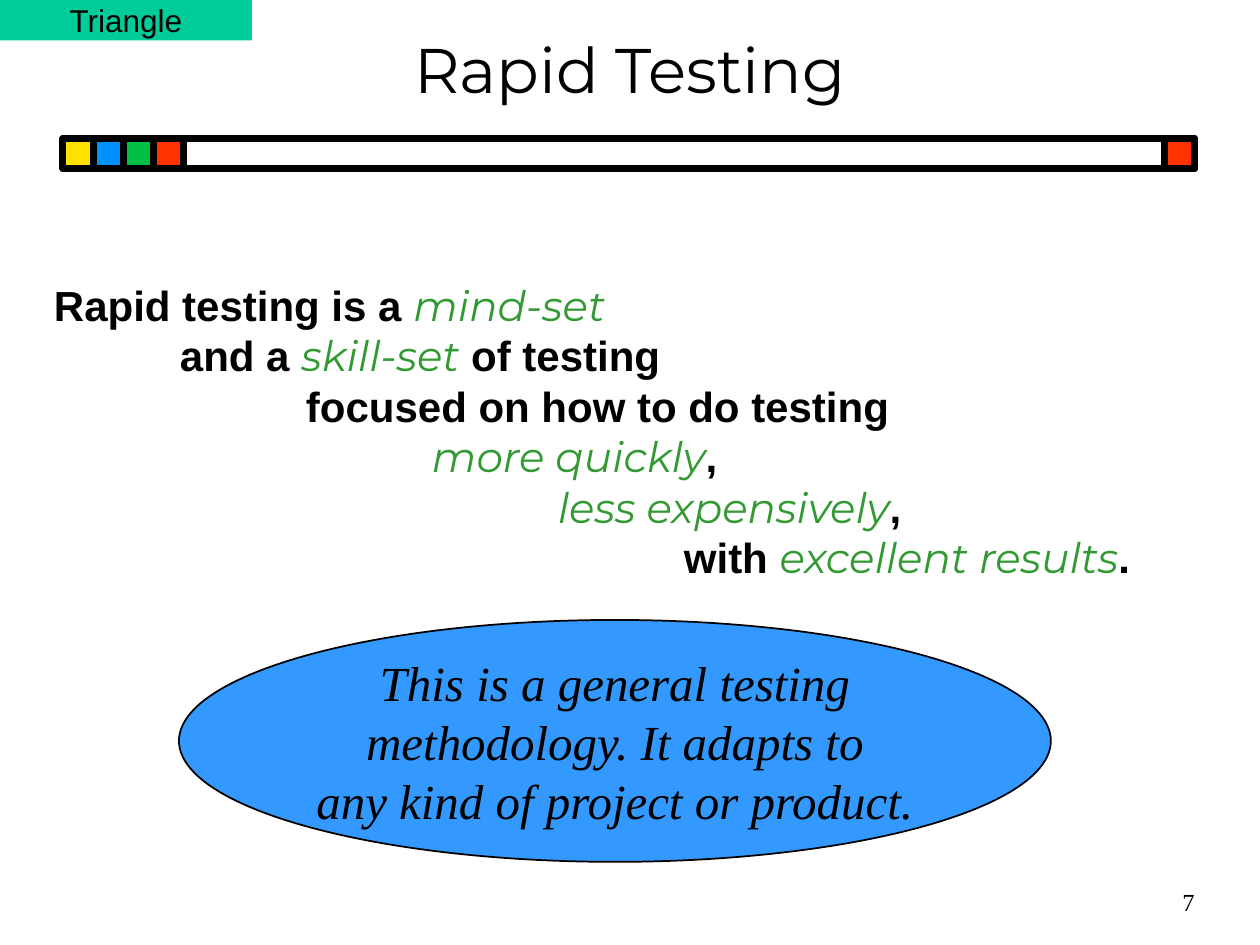
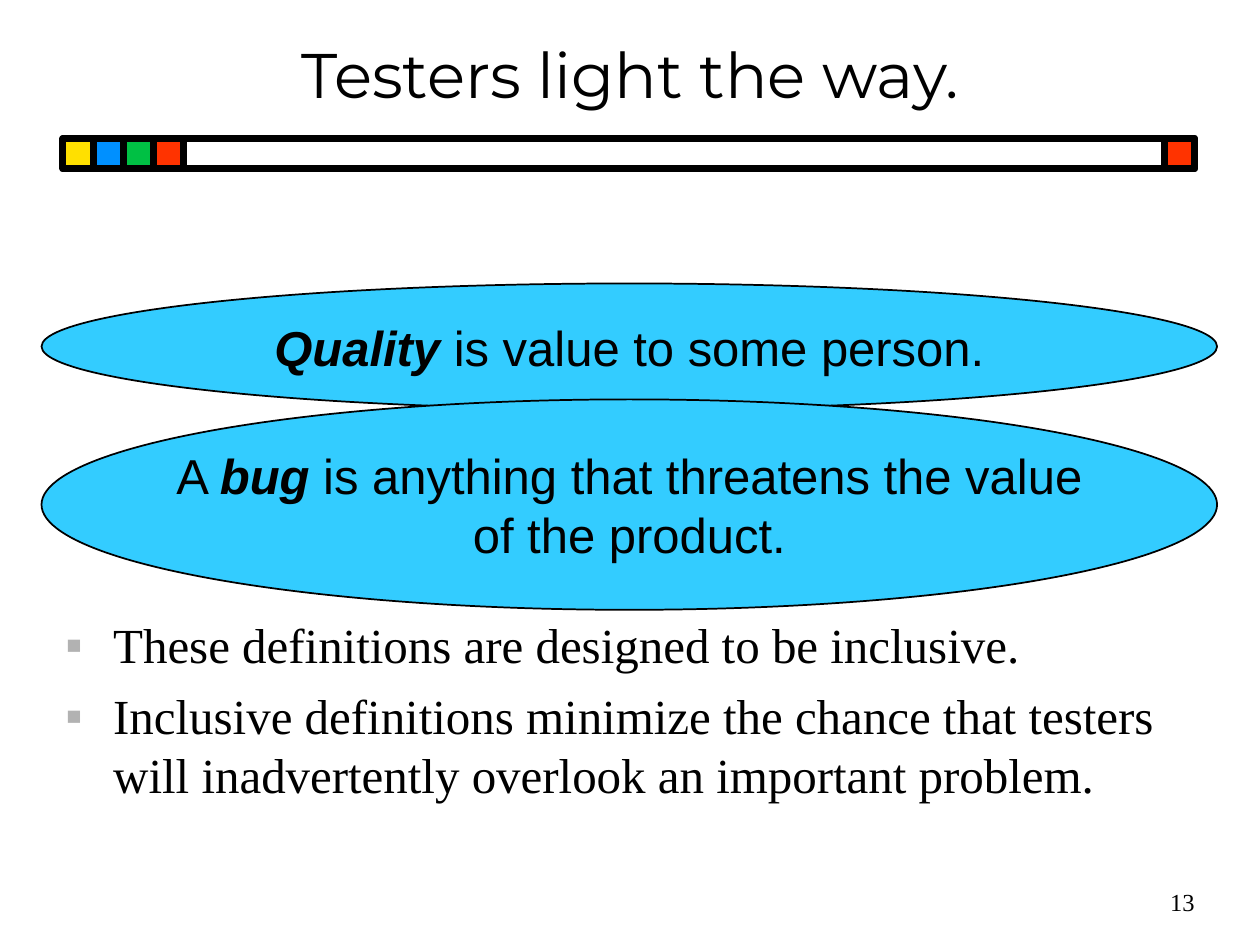
from lxml import etree
from pptx import Presentation, util as u
from pptx.dml.color import RGBColor
from pptx.enum import shapes, text
from pptx.oxml import ns

WIDTH, HEIGHT = 10, 7.5
SANS, SERIF, DISPLAY = "Arial", "Times New Roman", "Montserrat"
BLACK, GREEN, GREY = "000000", "339933", "B2B2B2"
BLUE, CYAN, TEAL = "3399FF", "33CCFF", "00CC99"

# Shared bar: squares at the left end, one at the right end
BAR = (0.5, 1.1, 8.98, 0.24)
LEFT_SQUARES = ["FFE000", "0090FF", "00C044", "FF3300"]
RIGHT_SQUARE = "FF3300"

# Span styles that differ from their paragraph
STRONG = dict(name=SANS, bold=True)
ACCENT = dict(name=DISPLAY, italic=True, color=GREEN)
TERM = dict(bold=True, italic=True)

# Content: a paragraph is a list of (words, style) spans; each tab is one stair
STAIRS = [
    [("Rapid testing is a ", STRONG), ("mind-set", ACCENT)],
    [("\tand a ", STRONG), ("skill-set", ACCENT),
     (" of testing\n\t\tfocused on how to do testing", STRONG)],
    [("\t\t\t", STRONG), ("more quickly", ACCENT), (", \n\t\t\t\t", STRONG),
     ("less expensively", ACCENT), (",", STRONG)],
    [("\t\t\t\t\twith ", STRONG), ("excellent results", ACCENT), (".", STRONG)],
]
METHOD = [
    [("This is a general testing\nmethodology. It adapts to", {})],
    [("any kind of project or product.", {})],
]
DEFINITIONS = [  # top, height, paragraph
    (2.25, 1, [("Quality", TERM), (" is value to some person.", {})]),
    (3.17, 1.67, [("A ", {}), ("bug", TERM),
                  (" is anything that threatens the value\nof the product.", {})]),
]
REMARKS = [
    [("These definitions are designed to be inclusive.", {})],
    [("Inclusive definitions minimize the chance that testers "
      "will inadvertently overlook an important problem.", {})],
]


def rgb(code):
    return RGBColor.from_string(code)


def style(font, name=None, size=None, color=None, bold=None, italic=None):
    if name:
        font.name = name
    if size:
        font.size = u.Pt(size)
    if color:
        font.color.rgb = rgb(color)
    if bold is not None:
        font.bold = bold
    if italic is not None:
        font.italic = italic


def sub(parent, tag, **attributes):
    return etree.SubElement(parent, ns.qn(tag), attributes)


def add_bullet(props):
    hang = u.Inches(0.38)
    props.set("marL", str(hang))
    props.set("indent", str(-hang))
    sub(sub(props, "a:buClr"), "a:srgbClr", val=GREY)
    sub(props, "a:buFont", typeface=SANS)
    sub(props, "a:buChar", char="▪")


def add_tabs(props):
    stops = sub(props, "a:tabLst")
    for inch in range(1, 8):
        sub(stops, "a:tab", pos=str(u.Inches(inch)), algn="l")


def write(box, paragraphs, align="LEFT", anchor="MIDDLE", wrap=True,
          bullets=False, tabs=False, gap=0, **font):
    frame = box.text_frame
    frame.word_wrap = wrap
    frame.vertical_anchor = getattr(text.MSO_ANCHOR, anchor)
    frame.margin_left = frame.margin_right = u.Inches(0.1)
    frame.margin_top = frame.margin_bottom = u.Inches(0.05)
    for index, spans in enumerate(paragraphs):
        para = frame.add_paragraph() if index else frame.paragraphs[0]
        para.alignment = getattr(text.PP_ALIGN, align)
        props = para._p.get_or_add_pPr()
        if bullets:
            add_bullet(props)
        if tabs:
            add_tabs(props)
        if index and gap:
            para.space_before = u.Pt(gap)
        style(para.font, **{"color": BLACK, **font})
        for words, look in spans:
            for row, line in enumerate(words.split("\n")):
                if row:
                    para.add_line_break()
                if line:
                    span = para.add_run()
                    span.text = line
                    style(span.font, **look)


def add_box(page, place, paragraphs, **options):
    box = page.shapes.add_textbox(*map(u.Inches, place))
    write(box, paragraphs, **options)


def add_shape(holder, kind, place, fill=None, line=0):
    shape = holder.shapes.add_shape(getattr(shapes.MSO_SHAPE, kind),
                                    *map(u.Inches, place))
    shape.shadow.inherit = False
    if fill:
        shape.fill.solid()
        shape.fill.fore_color.rgb = rgb(fill)
    else:
        shape.fill.background()
    if line:
        shape.line.color.rgb = rgb(BLACK)
        shape.line.width = u.Pt(line)
    else:
        shape.line.fill.background()
    return shape


def add_oval(page, place, fill, paragraphs, **font):
    oval = add_shape(page, "OVAL", place, fill, line=1)
    write(oval, paragraphs, align="CENTER", wrap=False, size=28, **font)


def add_page(deck, title, title_top, title_height, number):
    page = deck.slides.add_slide(deck.slide_layouts[6])
    left, top, width, side = BAR
    bar = page.shapes.add_group_shape()
    add_shape(bar, "RECTANGLE", BAR, line=4)
    squares = [(left + i * side, fill) for i, fill in enumerate(LEFT_SQUARES)]
    squares.append((left + width - side, RIGHT_SQUARE))
    for x, fill in squares:
        add_shape(bar, "RECTANGLE", (x, top, side, side), fill, line=4)
    add_box(page, (0, title_top, WIDTH, title_height), [[(title, {})]],
            align="CENTER", name=DISPLAY, size=36)
    add_box(page, (7.5, 6.91, 2.08, 0.5), [[(str(number), {})]],
            align="RIGHT", name=SERIF, size=14)
    return page


def main():
    deck = Presentation()
    deck.slide_width, deck.slide_height = u.Inches(WIDTH), u.Inches(HEIGHT)

    # Rapid testing: stair of phrases, method oval, corner tag
    page = add_page(deck, "Rapid Testing", 0, 1.08, 7)
    add_box(page, (0.33, 2.17, 9.25, 2.9), STAIRS, anchor="TOP", tabs=True, size=24)
    add_oval(page, (1.42, 4.92, 6.92, 1.92), BLUE, METHOD, name=SERIF, italic=True)
    tag = add_shape(page, "RECTANGLE", (0, 0, WIDTH / 5, 0.32), TEAL)
    write(tag, [[("Triangle", {})]], align="CENTER", wrap=False, name=SANS, size=18)

    # Definitions: two ovals and remarks
    page = add_page(deck, "Testers light the way.", 0.08, 1, 13)
    for top, height, spans in DEFINITIONS:
        add_oval(page, (0.33, top, WIDTH - 0.67, height), CYAN, [spans], name=SANS)
    add_box(page, (0.42, 4.83, 9.25, 1.83), REMARKS, anchor="TOP",
            bullets=True, gap=7, name=SERIF, size=28)

    deck.save("out.pptx")


if __name__ == "__main__":
    main()
